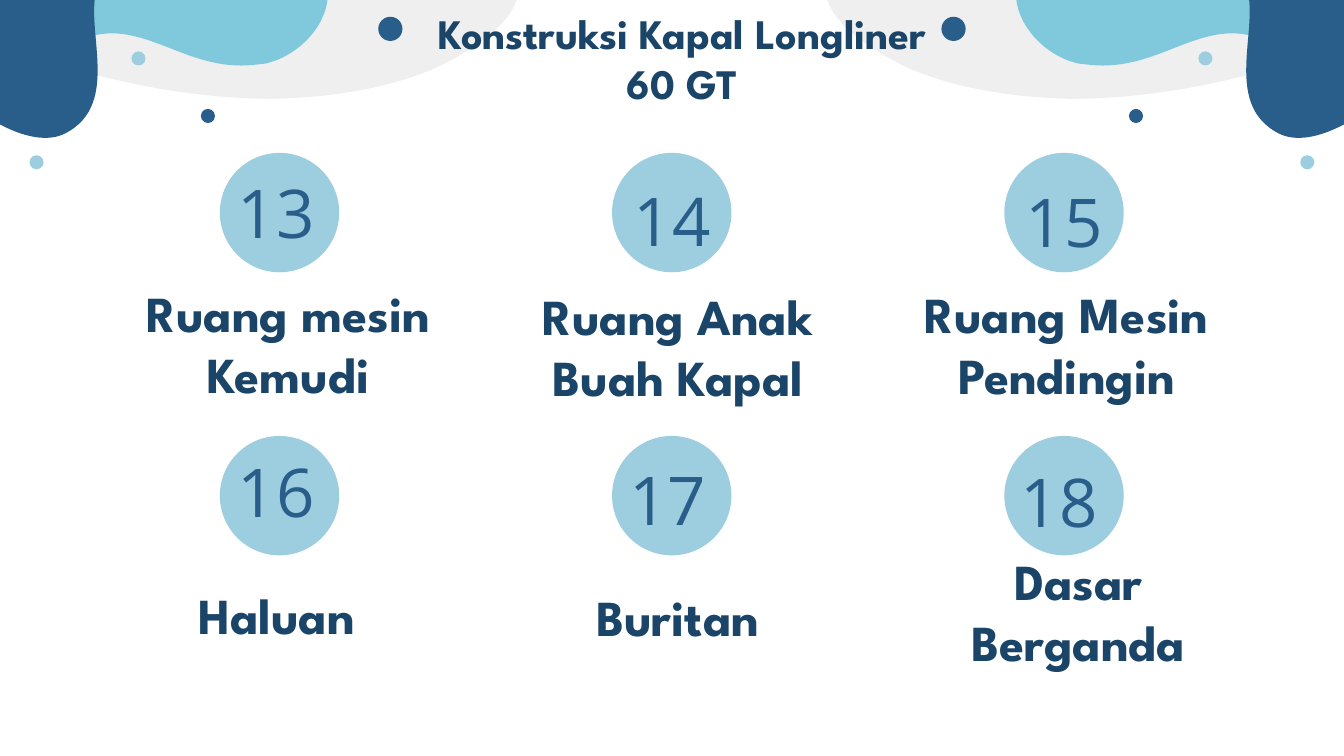
from dataclasses import dataclass

from lxml.etree import SubElement
from pptx import Presentation
from pptx.dml.color import RGBColor
from pptx.enum.shapes import MSO_SHAPE
from pptx.enum.text import MSO_ANCHOR, MSO_AUTO_SIZE, PP_ALIGN
from pptx.oxml.ns import qn
from pptx.shapes.autoshape import Shape
from pptx.slide import Slide
from pptx.util import Pt

NAVY = RGBColor(0x1A, 0x45, 0x68)
DEEP_BLUE = RGBColor(0x28, 0x5E, 0x89)
PALE_BLUE = RGBColor(0x9D, 0xCE, 0xDF)
SKY_BLUE = RGBColor(0x80, 0xC9, 0xDD)
PALE_GREY = RGBColor(0xEF, 0xEF, 0xEF)

PAGE_WIDTH, PAGE_HEIGHT = 960, 540
INSET = 9.6
CIRCLE_SIZE = 85.3
CIRCLE_LEFT, CIRCLE_TOP = 157, 109.2
COLUMN_STEP, ROW_STEP = 280.2, 202.2
COLUMNS = 3
FIRST_NUMBER = 13

Point = tuple[float, float]


@dataclass(frozen=True)
class Blob:
    color: RGBColor
    start: Point
    curves: list[tuple[float, ...]]


@dataclass(frozen=True)
class Dot:
    left: float
    top: float
    size: float
    color: RGBColor


@dataclass(frozen=True)
class TextStyle:
    font: str
    size: float
    color: RGBColor
    bold: bool
    anchor: MSO_ANCHOR


@dataclass(frozen=True)
class Part:
    caption: str
    caption_at: Point
    number_at: Point


TITLE_STYLE = TextStyle("League Spartan", 30, NAVY, True, MSO_ANCHOR.TOP)
CAPTION_STYLE = TextStyle("League Spartan", 36, NAVY, True, MSO_ANCHOR.MIDDLE)
NUMBER_STYLE = TextStyle("Open Sans", 48, DEEP_BLUE, False, MSO_ANCHOR.TOP)

RIGHT_BLOBS = [
    Blob(PALE_GREY, (1176.5, -22.3), [
        (1103, -22.3, 1029, -19.4, 955.4, -18.7),
        (885.6, -17.3, 815.8, -16.6, 746.6, -16.6),
        (746.6, -16.6, 630, -16.6, 630, -16.6),
        (611.3, -16.6, 586.8, -15.1, 591.1, 0),
        (596.9, 19.4, 625.7, 37.4, 648, 48.2),
        (682.6, 63.4, 724.3, 69.8, 766.1, 70.6),
        (789.8, 70.6, 811.4, 68.4, 832.3, 65.5),
        (859, 61.9, 884.2, 55.4, 910.1, 49),
        (975.6, 32.4, 1041.8, 17.3, 1111, 10.1),
        (1148.4, 6.5, 1185.8, 5, 1224, 5),
        (1252.8, 5, 1281.6, 5.8, 1309.7, 6.5),
        (1309.7, -2.2, 1309.7, -10.1, 1309.7, -18.7),
        (1265, -20.9, 1221.1, -22.3, 1176.5, -22.3),
    ]),
    Blob(SKY_BLUE, (787.7, 46.8), [
        (781.9, 46.8, 776.2, 46.1, 770.4, 45.4),
        (747.4, 40.3, 727.2, 19.4, 725.8, -2.2),
        (725, -16.6, 733, -38.9, 752.4, -49.7),
        (760.3, -54, 766.1, -55.4, 772.6, -55.4),
        (776.9, -55.4, 781.9, -54.7, 787, -53.3),
        (843.8, -43.2, 901.4, -31, 959, -31),
        (964.1, -31, 969.8, -31.7, 974.9, -31.7),
        (972, -20.2, 971.3, -8.6, 968.4, 2.2),
        (964.8, 13.7, 956.9, 31, 943.9, 36),
        (941, 37.4, 938.2, 38.2, 935.3, 38.2),
        (919.4, 38.2, 905, 24.5, 880.6, 23.8),
        (849.6, 23.8, 824.4, 46.8, 787.7, 46.8),
    ]),
    Blob(DEEP_BLUE, (833.8, -84.2), [
        (829.4, -77.8, 825.8, -68.4, 828.7, -57.6),
        (834.5, -32.4, 874.8, -37.4, 888.5, -13),
        (903.6, 13.7, 869.8, 74.2, 914.4, 95.8),
        (942.5, 108.7, 992.2, 72.7, 1014.5, 41),
        (1019.5, 33.8, 1023.1, 27.4, 1024.6, 21.6),
        (1025.3, 20.2, 1003, -7.2, 1000.1, -10.1),
        (971.3, -34.6, 941, -55.4, 908.6, -74.2),
        (892.8, -82.8, 876.2, -91.4, 860.4, -99.4),
        (856.1, -100.8, 858.2, -100.1, 851.8, -98.6),
        (848.2, -97.2, 839.5, -92.2, 833.8, -84.2),
    ]),
]

RIGHT_DOTS = [
    Dot(672.5, 12, 17.3, DEEP_BLUE),
    Dot(856, 36.7, 10.1, PALE_BLUE),
    Dot(806.4, 77.8, 10.1, DEEP_BLUE),
    Dot(928.8, 110.9, 10.1, PALE_BLUE),
]

PARTS = [
    Part("Ruang mesin Kemudi", (75.3, 226), (96.5, 113)),
    Part("Ruang Anak Buah Kapal", (353.5, 228.2), (379.4, 118.3)),
    Part("Ruang Mesin Pendingin", (631.2, 226.8), (659.5, 119.5)),
    Part("Haluan", (66.8, 419.8), (96.5, 311.8)),
    Part("Buritan", (353.5, 421.2), (376, 317.7)),
    Part("Dasar Berganda", (639.8, 417.6), (655.9, 319)),
]


def paint(shape: Shape, color: RGBColor) -> None:
    shape.shadow.inherit = False
    shape.fill.solid()
    shape.fill.fore_color.rgb = color
    shape.line.fill.background()


def bend_lines(shape: Shape) -> None:
    lines = list(shape.element.iter(qn("a:lnTo")))
    for first, second, third in zip(lines[::3], lines[1::3], lines[2::3]):
        curve = SubElement(first.getparent(), qn("a:cubicBezTo"))
        first.addprevious(curve)
        for line in (first, second, third):
            curve.append(line[0])
            line.getparent().remove(line)


def draw_blob(page: Slide, blob: Blob, mirrored: bool) -> None:
    points = [blob.start]
    for curve in blob.curves:
        points.extend(zip(curve[::2], curve[1::2]))
    places = [(Pt(PAGE_WIDTH - x if mirrored else x), Pt(y)) for x, y in points]
    builder = page.shapes.build_freeform(*places[0])
    builder.add_line_segments(places[1:], close=True)
    shape = builder.convert_to_shape()
    bend_lines(shape)
    paint(shape, blob.color)


def draw_dot(page: Slide, dot: Dot, mirrored: bool = False) -> None:
    left = PAGE_WIDTH - dot.left - dot.size if mirrored else dot.left
    shape = page.shapes.add_shape(
        MSO_SHAPE.OVAL, Pt(left), Pt(dot.top), Pt(dot.size), Pt(dot.size))
    paint(shape, dot.color)


def write_text(box: Shape, text: str, style: TextStyle) -> None:
    frame = box.text_frame
    frame.text = text
    frame.word_wrap = True
    frame.auto_size = MSO_AUTO_SIZE.NONE
    frame.vertical_anchor = style.anchor
    frame.margin_left = frame.margin_right = Pt(INSET)
    frame.margin_top = frame.margin_bottom = Pt(INSET)
    para = frame.paragraphs[0]
    para.alignment = PP_ALIGN.CENTER
    font = para.runs[0].font
    font.name, font.size, font.bold = style.font, Pt(style.size), style.bold
    font.color.rgb = style.color


def add_text(page: Slide, at: Point, size: Point, text: str, style: TextStyle) -> None:
    box = page.shapes.add_textbox(Pt(at[0]), Pt(at[1]), Pt(size[0]), Pt(size[1]))
    write_text(box, text, style)


def main() -> None:
    deck = Presentation()
    deck.slide_width, deck.slide_height = Pt(PAGE_WIDTH), Pt(PAGE_HEIGHT)
    page = deck.slides.add_slide(deck.slide_layouts[5])
    for mirrored in (False, True):
        for blob in RIGHT_BLOBS:
            draw_blob(page, blob, mirrored)
        for dot in RIGHT_DOTS:
            draw_dot(page, dot, mirrored)

    title = page.shapes.title
    title.left, title.top, title.width, title.height = Pt(298.4), Pt(-4.3), Pt(378), Pt(60.5)
    write_text(title, "Konstruksi Kapal Longliner 60 GT", TITLE_STYLE)
    page.shapes.element.append(title.element)

    for index, part in enumerate(PARTS):
        row, column = divmod(index, COLUMNS)
        draw_dot(page, Dot(CIRCLE_LEFT + column * COLUMN_STEP, CIRCLE_TOP + row * ROW_STEP,
                           CIRCLE_SIZE, PALE_BLUE))
        add_text(page, part.caption_at, (261.4, 37.4), part.caption, CAPTION_STYLE)
        add_text(page, part.number_at, (201.6, 64.8), str(FIRST_NUMBER + index), NUMBER_STYLE)
    deck.save("out.pptx")


if __name__ == "__main__":
    main()
